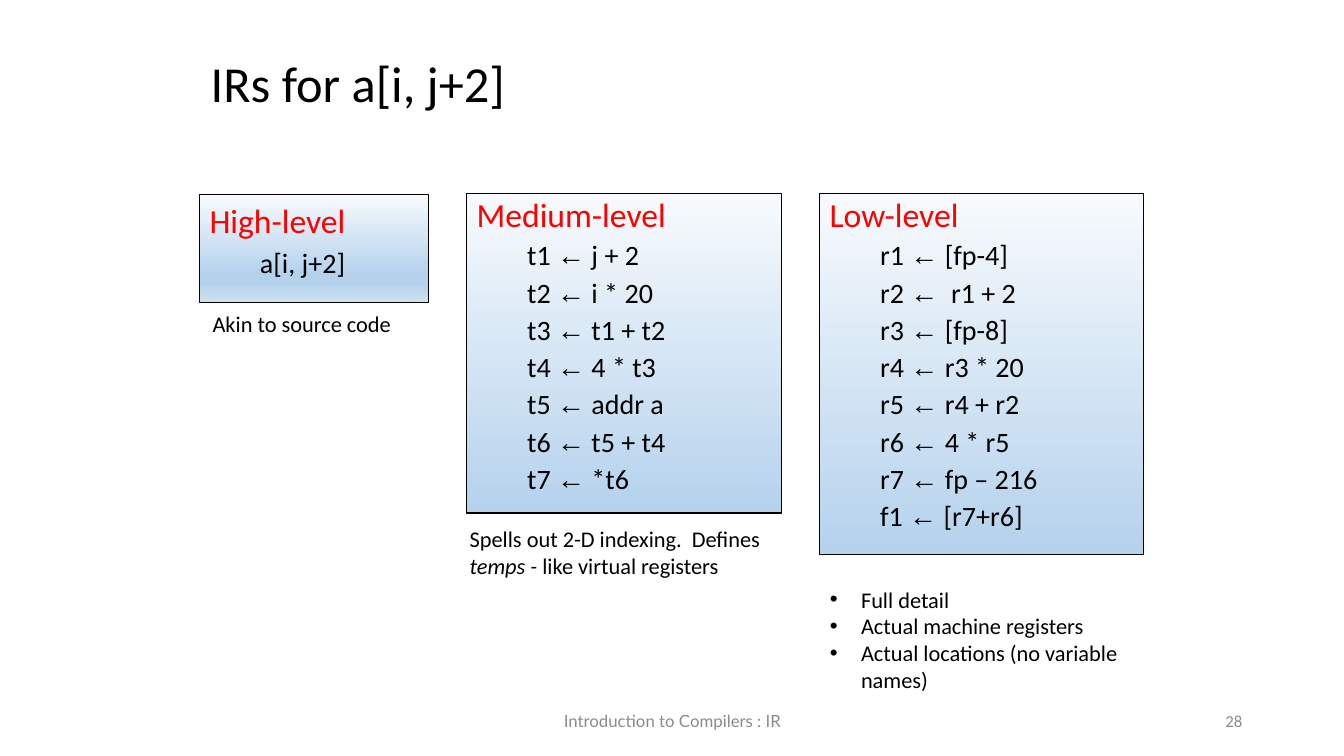
from lxml import etree
from pptx import Presentation
from pptx.dml.color import RGBColor
from pptx.enum.shapes import MSO_SHAPE
from pptx.enum.text import MSO_ANCHOR, MSO_AUTO_SIZE, PP_ALIGN
from pptx.oxml.ns import qn
from pptx.util import Inches, Pt

RECT = MSO_SHAPE.RECTANGLE
TOP, MIDDLE = MSO_ANCHOR.TOP, MSO_ANCHOR.MIDDLE
LEFT, CENTER, RIGHT = PP_ALIGN.LEFT, PP_ALIGN.CENTER, PP_ALIGN.RIGHT
NO_FIT = MSO_AUTO_SIZE.NONE

COLORS = {"text": "000000", "heading": "FF0000", "footer": "8B8B8B",
          "pale": "F7FAFD", "blue": "B5D2EC", "light": "CEE1F2"}
FONT, ARROW_FONT, FOOTER_FONT = "Calibri", "Arial", "Lato"
ARROW = "←"

TALL_STOPS = [(0, "pale"), (100, "blue")]
SHORT_STOPS = [(0, "pale"), (74, "blue"), (83, "blue"), (100, "light")]
MEDIUM_CODE = ["t1 ← j + 2", "t2 ← i * 20", "t3 ← t1 + t2", "t4 ← 4 * t3",
               "t5 ← addr a", "t6 ← t5 + t4", "t7 ← *t6"]
LOW_CODE = ["r1 ← [fp-4]", "r2 ←  r1 + 2", "r3 ← [fp-8]", "r4 ← r3 * 20",
            "r5 ← r4 + r2", "r6 ← 4 * r5", "r7 ← fp – 216", "f1 ← [r7+r6]"]
DETAILS = ["Full detail", "Actual machine registers",
           "Actual locations (no variable names)"]


def add_run(p, text, size, color="text", font=FONT, italic=False):
    """Append one formatted run to a paragraph."""
    r = p.add_run()
    r.text = text
    r.font.size = Pt(size)
    r.font.name = font
    r.font.italic = italic
    r.font.color.rgb = RGBColor.from_string(COLORS[color])


def format_paragraph(p, before=0, line=1.0, margin=0, hanging=0, align=LEFT):
    """Set spacing, alignment and a hanging indent in inches."""
    p.space_before = Pt(before)
    p.line_spacing = line
    p.alignment = align
    pPr = p._p.get_or_add_pPr()
    pPr.set("marL", str(Inches(margin)))
    pPr.set("indent", str(-Inches(hanging)))


def next_paragraph(tf):
    """Return the empty first paragraph, or a new one."""
    first = tf.paragraphs[0]
    return tf.add_paragraph() if first.runs else first


def place(sp, box, anchor=TOP):
    """Move a shape to its box and return its wrapping text frame."""
    sp.left, sp.top, sp.width, sp.height = (Inches(v) for v in box)
    tf = sp.text_frame
    tf.word_wrap = True
    tf.auto_size = NO_FIT
    tf.vertical_anchor = anchor
    return tf


def set_gradient(sp, stops):
    """Fill a shape from top to bottom with (percent, color) stops."""
    sp.fill.gradient()
    sp.fill.gradient_angle = 270
    stop_list = sp._element.spPr.find(qn("a:gradFill")).find(qn("a:gsLst"))
    for old in list(stop_list):
        stop_list.remove(old)
    for percent, color in stops:
        gs = etree.SubElement(stop_list, qn("a:gs"), pos=str(percent * 1000))
        etree.SubElement(gs, qn("a:srgbClr"), val=COLORS[color])


def add_code_box(s, box, heading, code, stops, before, line, indent):
    """Draw a gradient box with a red heading and indented code lines."""
    sp = s.shapes.add_shape(RECT, *(Inches(v) for v in box))
    sp.shadow.inherit = False
    set_gradient(sp, stops)
    sp.line.color.rgb = RGBColor.from_string(COLORS["text"])
    sp.line.width = Pt(0.75)
    tf = place(sp, box)
    p = tf.paragraphs[0]
    format_paragraph(p, before[0], line)
    add_run(p, heading, 24, "heading")
    for row in code:
        p = tf.add_paragraph()
        format_paragraph(p, before[1], line, *indent)
        target, arrow, value = row.partition(ARROW)
        add_run(p, target, 20)
        if arrow:
            add_run(p, arrow, 20, font=ARROW_FONT)
            add_run(p, value, 20)


def add_text(s, box, parts, size=16, color="text", font=FONT, align=LEFT,
             anchor=TOP):
    """Add a text box of one paragraph from (text, italic) parts."""
    tf = place(s.shapes.add_textbox(*(Inches(v) for v in box)), box, anchor)
    p = tf.paragraphs[0]
    format_paragraph(p, align=align)
    for text, italic in parts:
        add_run(p, text, size, color, font, italic)


def fill_title(s, text):
    """Place and fill the title placeholder."""
    p = place(s.shapes.title, (1.99, 0.4, 8.62, 0.91), MIDDLE).paragraphs[0]
    format_paragraph(p, line=0.9)
    add_run(p, text, 36)


def fill_list(s, box, items):
    """Place the body placeholder and fill it with bullets."""
    tf = place(s.placeholders[1], box)
    for item in items:
        p = next_paragraph(tf)
        format_paragraph(p, margin=0.31, hanging=0.31)
        pPr = p._p.get_or_add_pPr()
        etree.SubElement(pPr, qn("a:buFont"), typeface="Arial")
        etree.SubElement(pPr, qn("a:buChar"), char="•")
        add_run(p, item, 16)


def main():
    """Build the slide and save it."""
    prs = Presentation()
    prs.slide_width, prs.slide_height = Inches(13.33), Inches(7.5)
    s = prs.slides.add_slide(prs.slide_layouts[1])
    fill_title(s, "IRs for a[i, j+2]")

    tall = (TALL_STOPS, (10, 5), 0.9, (0.75, 0.25))
    add_code_box(s, (4.63, 1.92, 3.12, 3.17), "Medium-level", MEDIUM_CODE, *tall)
    add_code_box(s, (8.13, 1.92, 3.21, 3.58), "Low-level", LOW_CODE, *tall)
    add_code_box(s, (1.98, 1.93, 2.27, 1.07), "High-level", ["a[i, j+2]"],
                 SHORT_STOPS, (4.8, 4), 1.0, (0.81, 0.31))

    add_text(s, (2.01, 3.03, 2.32, 0.63), [("Akin to source code", False)])
    add_text(s, (4.56, 5.16, 3.25, 0.9),
             [("Spells out 2-D indexing.  Defines ", False),
              ("temps - ", True), ("like virtual registers", False)])
    fill_list(s, (8.13, 5.76, 3.37, 1.16), DETAILS)

    add_text(s, (4.42, 6.95, 4.5, 0.4), [("Introduction to Compilers : IR", False)],
             12, "footer", FOOTER_FONT, CENTER, MIDDLE)
    add_text(s, (9.42, 6.95, 3, 0.4), [("28", False)],
             12, "footer", FONT, RIGHT, MIDDLE)
    prs.save("out.pptx")


main()
